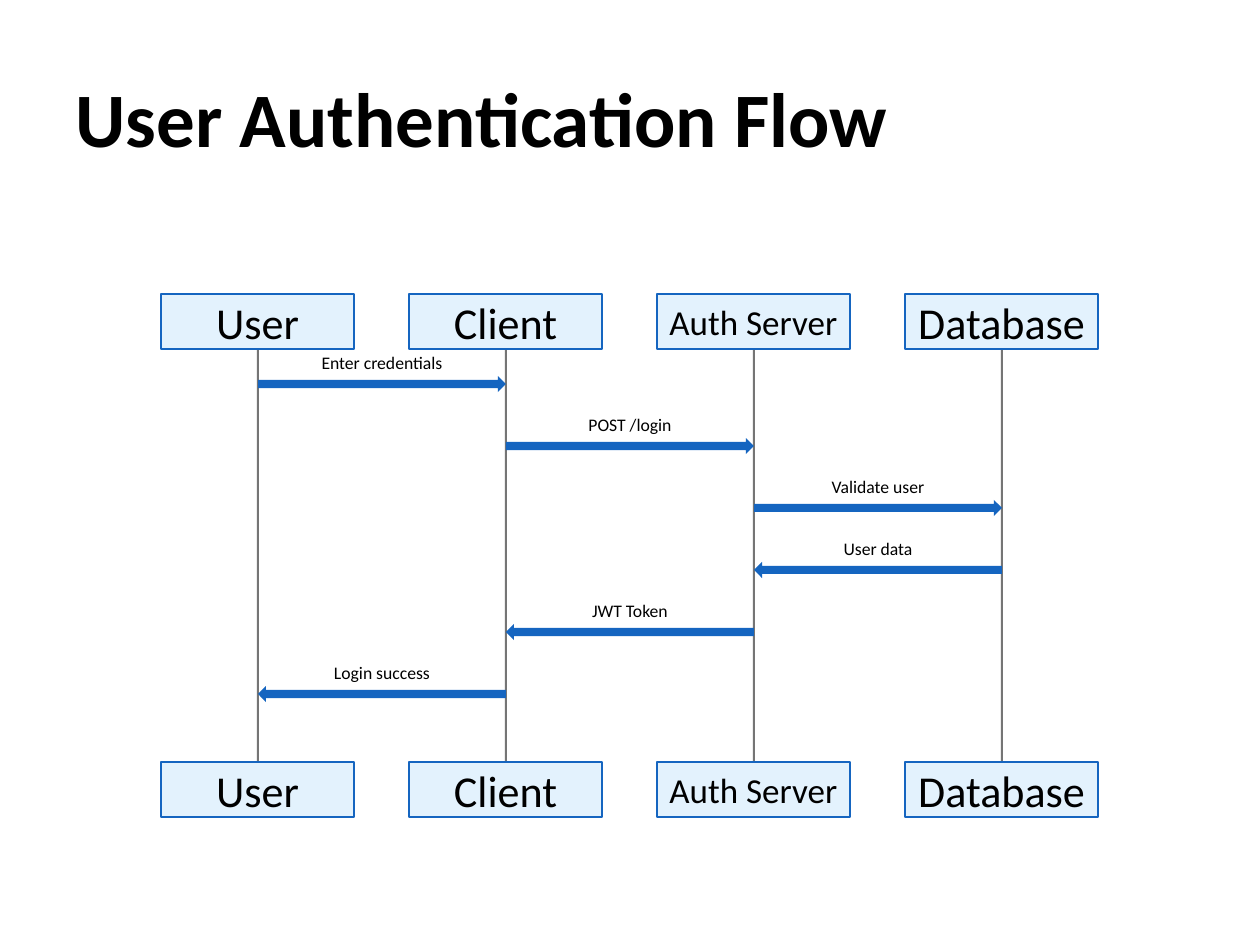
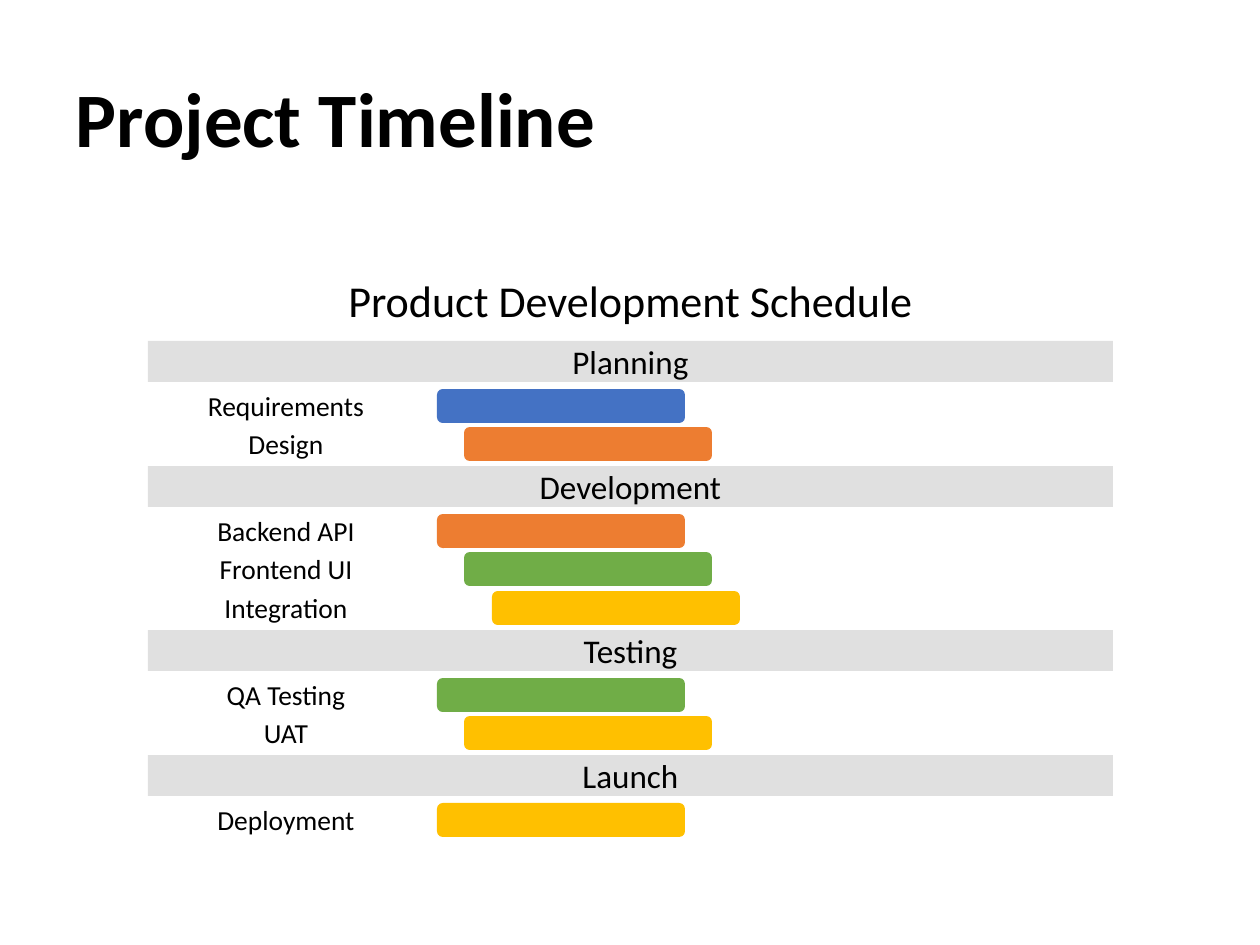
from pptx import Presentation
from pptx import util as u
from pptx.dml.color import RGBColor
from pptx.enum import shapes, text

FONT = "Calibri"
BLACK = RGBColor(0x00, 0x00, 0x00)
PALE_BLUE = RGBColor(0xE3, 0xF2, 0xFD)
DEEP_BLUE = RGBColor(0x15, 0x65, 0xC0)
LIFELINE_GRAY = RGBColor(0x75, 0x75, 0x75)
BAND_GRAY = RGBColor(0xE0, 0xE0, 0xE0)
BLUE = RGBColor(0x44, 0x72, 0xC4)
ORANGE = RGBColor(0xED, 0x7D, 0x31)
GREEN = RGBColor(0x70, 0xAD, 0x47)
YELLOW = RGBColor(0xFF, 0xC0, 0x00)

TITLE_ONLY = 5
ACTOR_LEFT, ACTOR_WIDTH, ACTOR_HEIGHT, ACTOR_PITCH = 161, 193, 55, 248
ACTOR_TOP, ACTOR_BOTTOM = 294, 762
LIFELINE_LEFT = 258
MESSAGE_TOP, MESSAGE_PITCH = 352, 62
CHART_LEFT, CHART_WIDTH = 148, 965
CAPTION_TOP, FIRST_BAND_TOP = 272, 341
BAND_HEIGHT, BAND_STEP = 41, 48
TASK_HEIGHT, THREE_TASKS = 34, 116
BAR_LEFT, BAR_WIDTH, TWO_BAR_SHIFTS = 437, 248, 55

ACTORS = [("User", 25.2), ("Client", 25.2), ("Auth Server", 20), ("Database", 25.2)]
MESSAGES = [
    ("Enter credentials", 0, 1),
    ("POST /login", 1, 2),
    ("Validate user", 2, 3),
    ("User data", 3, 2),
    ("JWT Token", 2, 1),
    ("Login success", 1, 0),
]
SECTIONS = [
    ("Planning", [("Requirements", BLUE), ("Design", ORANGE)]),
    ("Development", [("Backend API", ORANGE), ("Frontend UI", GREEN), ("Integration", YELLOW)]),
    ("Testing", [("QA Testing", GREEN), ("UAT", YELLOW)]),
    ("Launch", [("Deployment", YELLOW)]),
]


def px(length):
    return u.Emu(round(length * 914400 / 126))


def place(*lengths):
    return [px(length) for length in lengths]


def write(box, words, size, bold=False, align=text.PP_ALIGN.CENTER):
    frame = box.text_frame
    frame.text = words
    frame.word_wrap = True
    frame.vertical_anchor = text.MSO_ANCHOR.MIDDLE
    para = frame.paragraphs[0]
    para.alignment = align
    font = para.runs[0].font
    font.name, font.size, font.bold = FONT, u.Pt(size), bold
    font.color.rgb = BLACK


def write_centered(box, words, size):
    frame = box.text_frame
    frame.margin_left = frame.margin_right = 0
    frame.margin_top = frame.margin_bottom = 0
    write(box, words, size)


def add_label(page, words, size, *area):
    write_centered(page.shapes.add_textbox(*place(*area)), words, size)


def add_block(page, kind, fill, *area, outline=None):
    block = page.shapes.add_shape(kind, *place(*area))
    block.shadow.inherit = False
    block.fill.solid()
    block.fill.fore_color.rgb = fill
    if outline is None:
        block.line.fill.background()
    else:
        block.line.color.rgb = outline
        block.line.width = u.Pt(0)
    return block


def add_page(deck, title):
    page = deck.slides.add_slide(deck.slide_layouts[TITLE_ONLY])
    box = page.shapes.title
    box.left, box.top, box.width, box.height = place(63, 38, 1134, 158)
    write(box, title, 44, bold=True, align=text.PP_ALIGN.LEFT)
    return page


def add_actor(page, index, name, size):
    shift = index * ACTOR_PITCH
    top_edge = ACTOR_TOP + ACTOR_HEIGHT
    add_block(page, shapes.MSO_SHAPE.RECTANGLE, LIFELINE_GRAY,
              LIFELINE_LEFT + shift - 1, top_edge, 2, ACTOR_BOTTOM - top_edge)
    for top in (ACTOR_TOP, ACTOR_BOTTOM):
        box = add_block(page, shapes.MSO_SHAPE.RECTANGLE, PALE_BLUE, ACTOR_LEFT + shift, top,
                        ACTOR_WIDTH, ACTOR_HEIGHT, outline=DEEP_BLUE)
        write_centered(box, name, size)


def add_message(page, index, words, sender, receiver):
    left = LIFELINE_LEFT + min(sender, receiver) * ACTOR_PITCH
    top = MESSAGE_TOP + index * MESSAGE_PITCH
    forward = receiver > sender
    arrow = shapes.MSO_SHAPE.RIGHT_ARROW if forward else shapes.MSO_SHAPE.LEFT_ARROW
    add_block(page, arrow, DEEP_BLUE, left, top + 24, ACTOR_PITCH, 16)
    add_label(page, words, 10.1, left, top, ACTOR_PITCH, 21)


def add_task(page, index, name, color, top):
    add_label(page, name, 15.7, CHART_LEFT, top, 276, TASK_HEIGHT)
    add_block(page, shapes.MSO_SHAPE.ROUNDED_RECTANGLE, color,
              BAR_LEFT + index * TWO_BAR_SHIFTS // 2, top, BAR_WIDTH, TASK_HEIGHT)


def add_section(page, name, tasks, top):
    band = add_block(page, shapes.MSO_SHAPE.RECTANGLE, BAND_GRAY,
                     CHART_LEFT, top, CHART_WIDTH, BAND_HEIGHT)
    write_centered(band, name, 18.9)
    top += BAND_STEP
    for index, (task, color) in enumerate(tasks):
        add_task(page, index, task, color, top + index * THREE_TASKS // 3)
    return top + len(tasks) * THREE_TASKS // 3


def build_authentication(deck):
    page = add_page(deck, "User Authentication Flow")
    for index, actor in enumerate(ACTORS):
        add_actor(page, index, *actor)
    for index, message in enumerate(MESSAGES):
        add_message(page, index, *message)


def build_timeline(deck):
    page = add_page(deck, "Project Timeline")
    add_label(page, "Product Development Schedule", 25.2,
              CHART_LEFT, CAPTION_TOP, CHART_WIDTH, 55)
    top = FIRST_BAND_TOP
    for name, tasks in SECTIONS:
        top = add_section(page, name, tasks, top)


def main():
    deck = Presentation()
    deck.slide_width, deck.slide_height = place(1260, 945)
    build_authentication(deck)
    build_timeline(deck)
    deck.save("out.pptx")


if __name__ == "__main__":
    main()
